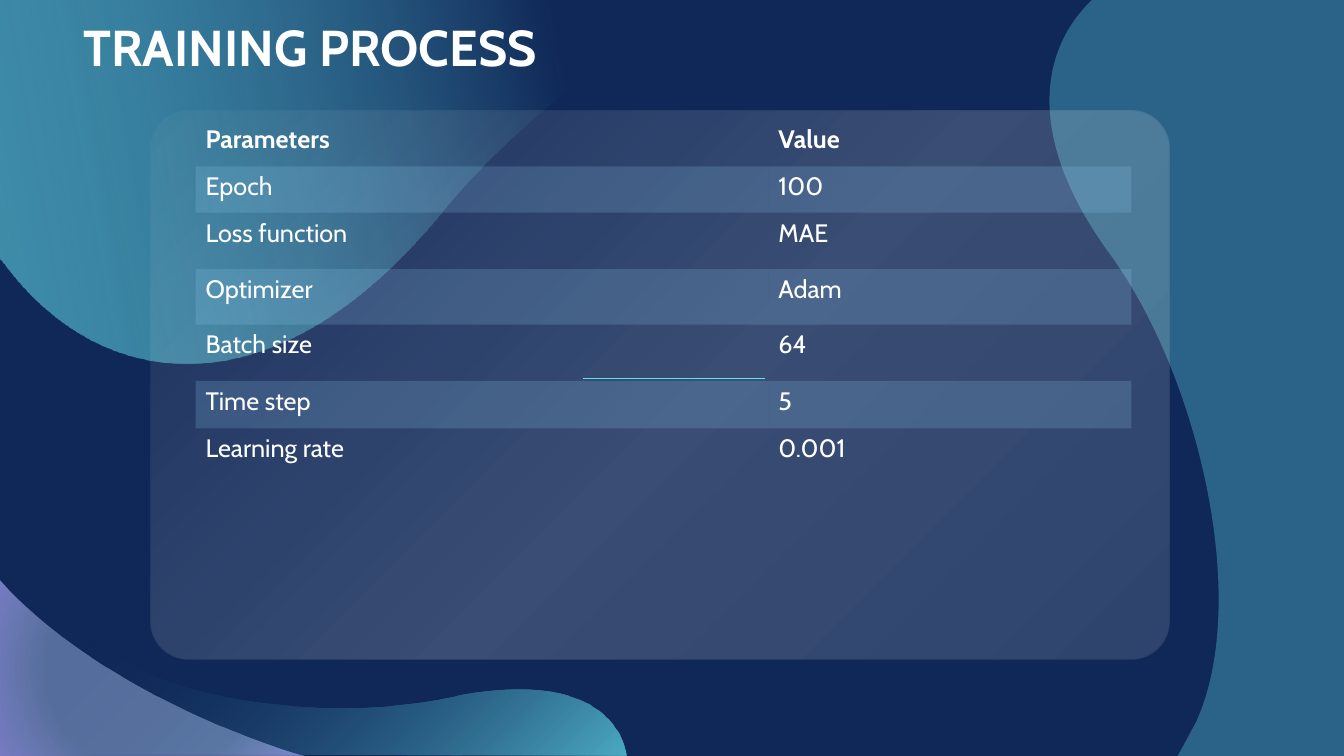
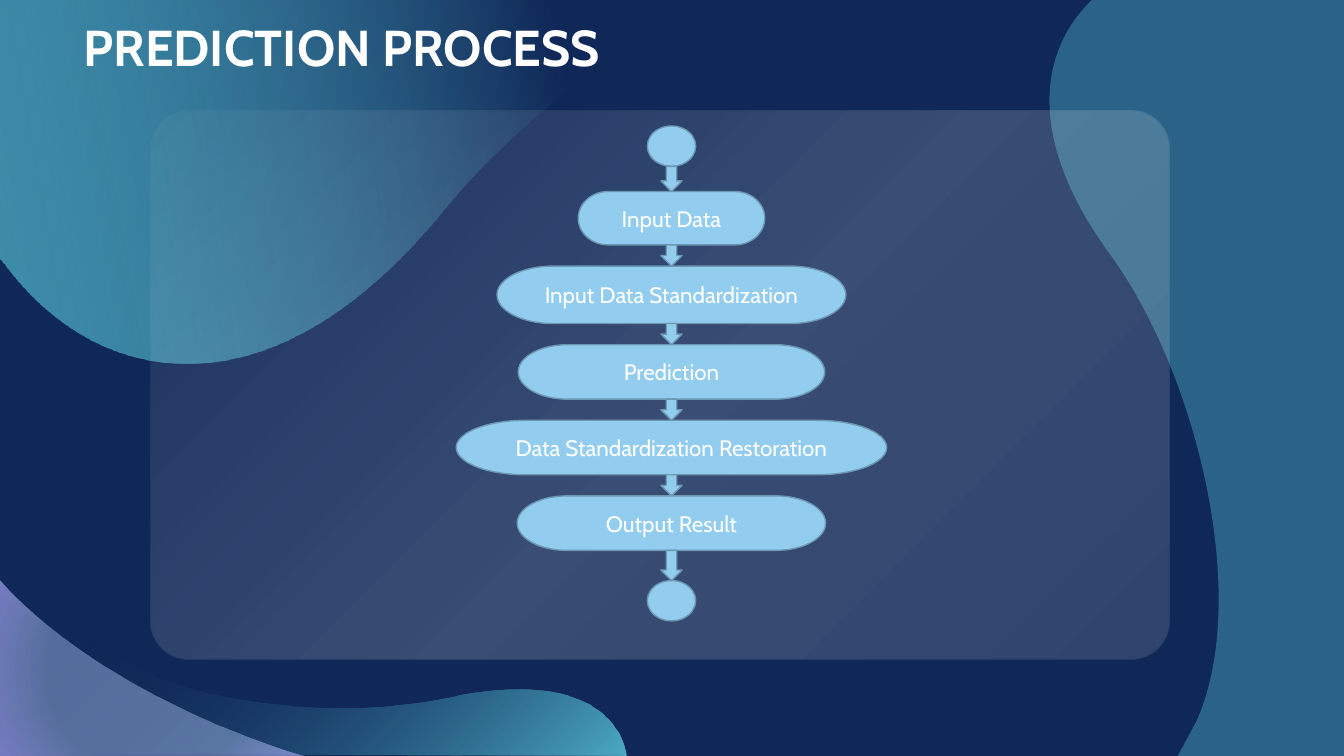
from dataclasses import dataclass
from typing import Optional

from lxml.etree import SubElement
from pptx import Presentation
from pptx.dml.color import RGBColor
from pptx.enum.shapes import MSO_CONNECTOR, MSO_SHAPE
from pptx.enum.text import MSO_ANCHOR, PP_ALIGN
from pptx.oxml.ns import qn
from pptx.util import Pt

EMU_PER_PX = 9144  # 100 px to the inch


@dataclass(frozen=True)
class Theme:
    font: str = "Cabin"
    navy: str = "102857"
    cyan: str = "64DFED"
    white: str = "FFFFFF"
    sky: str = "92CDF0"
    sky_edge: str = "6C98B2"
    mist: str = "ABC3F0"
    lilac: str = "AAA5F9"
    title_size: int = 36
    table_size: int = 18
    node_size: int = 16
    band_opacity: int = 20


@dataclass(frozen=True)
class Stop:
    position: int
    colour: str
    opacity: int = 100


@dataclass(frozen=True)
class Gradient:
    """Linear when an angle is given, otherwise circular around focus (l, t, r, b)."""
    stops: tuple
    angle: Optional[int] = None
    focus: tuple = (100, 100, 0, 0)


@dataclass(frozen=True)
class Blob:
    """Frame (l, t, w, h), and outline of points (2 numbers) and Beziers (6)."""
    frame: tuple
    outline: tuple
    gradient: Optional[Gradient] = None
    tint: Optional[Stop] = None


@dataclass(frozen=True)
class Node:
    width: int
    height: int
    gap_above: int
    label: str = ""


THEME = Theme()
SLIDE_SIZE = (1333, 750)

BLOBS_BEHIND = (
    # Bottom wave
    Blob((0, 531, 621, 219),
         ((35, 531), (41, 548), (55, 584, 75, 613, 98, 636),
          (159, 697, 332, 716, 443, 692), (557, 667, 611, 700, 621, 748),
          (621, 750), (0, 748), (0, 744)),
         Gradient((Stop(0, THEME.cyan, 71), Stop(77, THEME.navy, 0)))),
    # Top left drop
    Blob((0, 0, 699, 361),
         ((0, 0), (699, 0), (660, 22), (573, 76, 496, 141, 442, 206),
          (269, 420, 96, 385, 5, 263), (0, 257)),
         Gradient((Stop(20, THEME.navy), Stop(100, THEME.cyan, 54)), angle=170)),
    # Right side
    Blob((1041, 0, 292, 750),
         ((1333, 0), (1333, 750), (1168, 750), (1173, 741),
          (1178, 732, 1182, 724, 1186, 717), (1242, 595, 1187, 369, 1100, 251),
          (1018, 138, 1030, 51, 1083, 0)),
         tint=Stop(0, THEME.cyan, 32)),
)
CORNER_BLOB = Blob(
    (0, 575, 303, 175),
    ((0, 575), (10, 586), (77, 655, 183, 712, 289, 746), (303, 750), (0, 750), (0, 663)),
    Gradient((Stop(60, THEME.mist, 45), Stop(99, THEME.lilac, 67)),
             focus=(50, 50, 50, 50)))
PANEL_GRADIENT = Gradient(
    (Stop(6, THEME.white, 13), Stop(47, THEME.white, 17), Stop(100, THEME.white, 3)))
RULE_GRADIENT = Gradient((Stop(0, THEME.cyan), Stop(100, THEME.lilac)), angle=0)

PARAMETERS = (
    ("Parameters", "Value"), ("Epoch", "100"), ("Loss function", "MAE"),
    ("Optimizer", "Adam"), ("Batch size", "64"), ("Time step", "5"),
    ("Learning rate", "0.001"), ("", ""), ("", ""), ("", ""),
)
COLUMN_WIDTHS = (568, 360)
ROW_HEIGHTS = (47, 46, 56, 55, 56, 47, 47, 56, 55, 46)

FLOW_CENTRE, FLOW_TOP, ARROW_WIDTH = 666, 125, 21
FLOW = (
    Node(48, 40, 0),
    Node(185, 53, 25, "Input Data"),
    Node(346, 57, 21, "Input Data Standardization"),
    Node(304, 54, 21, "Prediction"),
    Node(427, 54, 21, "Data Standardization Restoration"),
    Node(306, 54, 21, "Output Result"),
    Node(48, 40, 30),
)


def px(value: float) -> int:
    return round(value * EMU_PER_PX)


def box(*values: float) -> list:
    return [px(value) for value in values]


def rgb(colour: str) -> RGBColor:
    return RGBColor.from_string(colour)


def set_opacity(colour_element, percent: int) -> None:
    SubElement(colour_element, qn("a:alpha"), val=str(percent * 1000))


def style_text(paragraph, size: int, bold: bool = False) -> None:
    for run in paragraph.runs:
        run.font.name = THEME.font
        run.font.size = Pt(size)
        run.font.bold = bold
        run.font.color.rgb = rgb(THEME.white)


def set_gradient(parent, gradient: Gradient) -> None:
    """Replace the empty fill of a shape or line by a gradient."""
    fill = SubElement(parent, qn("a:gradFill"), rotWithShape="1")
    parent.replace(parent.find(qn("a:noFill")), fill)
    stop_list = SubElement(fill, qn("a:gsLst"))
    for stop in gradient.stops:
        entry = SubElement(stop_list, qn("a:gs"), pos=str(stop.position * 1000))
        colour = SubElement(entry, qn("a:srgbClr"), val=stop.colour)
        if stop.opacity < 100:
            set_opacity(colour, stop.opacity)
    if gradient.angle is not None:
        SubElement(fill, qn("a:lin"), ang=str(gradient.angle * 60000), scaled="0")
    else:
        circle = SubElement(fill, qn("a:path"))
        circle.set("path", "circle")
        sides = dict(zip("ltrb", (str(side * 1000) for side in gradient.focus)))
        SubElement(circle, qn("a:fillToRect"), **sides)


def fill_backdrop_shape(shape, gradient: Optional[Gradient], tint: Optional[Stop] = None) -> None:
    shape.shadow.inherit = False
    shape.line.fill.background()
    if gradient:
        shape.fill.background()
        set_gradient(shape.element.spPr, gradient)
    elif tint:
        shape.fill.solid()
        shape.fill.fore_color.rgb = rgb(tint.colour)
        set_opacity(shape.element.xpath("./p:spPr/a:solidFill/a:srgbClr")[0], tint.opacity)


def draw_blob(slide, blob: Blob) -> None:
    """Build a freeform of the frame, then give it the curved outline."""
    left, top, width, height = box(*blob.frame)
    builder = slide.shapes.build_freeform(left, top, scale=1.0)
    builder.add_line_segments(
        [(left + width, top), (left + width, top + height), (left, top + height)])
    shape = builder.convert_to_shape()
    outline = shape.element.xpath(".//a:pathLst/a:path")[0]
    for command in list(outline):
        outline.remove(command)
    for index, segment in enumerate(blob.outline):
        kind = "a:cubicBezTo" if len(segment) == 6 else "a:lnTo" if index else "a:moveTo"
        command = SubElement(outline, qn(kind))
        for x, y in zip(segment[::2], segment[1::2]):
            SubElement(command, qn("a:pt"), x=str(px(x) - left), y=str(px(y) - top))
    SubElement(outline, qn("a:close"))
    fill_backdrop_shape(shape, blob.gradient, blob.tint)


def draw_backdrop(slide) -> None:
    for blob in BLOBS_BEHIND:
        draw_blob(slide, blob)
    panel = slide.shapes.add_shape(
        MSO_SHAPE.ROUNDED_RECTANGLE, *box(149, 110, 1011, 544))
    panel.adjustments[0] = 0.07
    fill_backdrop_shape(panel, PANEL_GRADIENT)
    draw_blob(slide, CORNER_BLOB)
    rule = slide.shapes.add_connector(MSO_CONNECTOR.STRAIGHT, *box(759, 375, 578, 375))
    rule.line.width = Pt(0.5)
    rule.line.fill.background()
    set_gradient(rule.element.spPr.find(qn("a:ln")), RULE_GRADIENT)
    SubElement(rule.element.spPr, qn("a:effectLst"))


def prepare_layout(layout, slide) -> None:
    """Move the backdrop, drawn on a slide, to the layout all slides share."""
    for placeholder in list(layout.placeholders):
        layout.shapes.element.remove(placeholder.element)
    layout.background.fill.solid()
    layout.background.fill.fore_color.rgb = rgb(THEME.navy)
    draw_backdrop(slide)
    for shape in list(slide.shapes):
        layout.shapes.element.append(shape.element)


def add_title(slide, title: str) -> None:
    text_frame = slide.shapes.add_textbox(*box(73, 11, 546, 131)).text_frame
    text_frame.word_wrap = True
    text_frame.text = title
    style_text(text_frame.paragraphs[0], THEME.title_size, bold=True)


def add_parameter_table(slide) -> None:
    frame = slide.shapes.add_table(
        len(PARAMETERS), len(COLUMN_WIDTHS),
        *box(194, 118, sum(COLUMN_WIDTHS), sum(ROW_HEIGHTS)))
    table = frame.table
    table.first_row = table.horz_banding = False
    # Built-in style without fills or grid
    frame.element.xpath(".//a:tableStyleId")[0].text = "{2D5ABB26-0587-4C30-8999-92F81FD0307C}"
    for column, width in zip(table.columns, COLUMN_WIDTHS):
        column.width = px(width)
    for index, (row, height, texts) in enumerate(zip(table.rows, ROW_HEIGHTS, PARAMETERS)):
        row.height = px(height)
        for cell, text in zip(row.cells, texts):
            cell.fill.background()
            if not text:
                continue
            cell.text_frame.text = text
            style_text(cell.text_frame.paragraphs[0], THEME.table_size, bold=index == 0)
            if index % 2:
                cell.fill.solid()
                cell.fill.fore_color.rgb = rgb(THEME.sky)
    for colour in frame.element.xpath(".//a:tcPr/a:solidFill/a:srgbClr"):
        set_opacity(colour, THEME.band_opacity)


def add_flow_shape(slide, kind: MSO_SHAPE, top: int, width: int, height: int,
                   label: str = "") -> None:
    shape = slide.shapes.add_shape(
        kind, *box(FLOW_CENTRE - width / 2, top, width, height))
    shape.shadow.inherit = False
    shape.fill.solid()
    shape.fill.fore_color.rgb = rgb(THEME.sky)
    shape.line.color.rgb = rgb(THEME.sky_edge)
    shape.line.width = Pt(1)
    if label:
        text_frame = shape.text_frame
        text_frame.text = label
        text_frame.vertical_anchor = MSO_ANCHOR.MIDDLE
        paragraph = text_frame.paragraphs[0]
        paragraph.alignment = PP_ALIGN.CENTER
        style_text(paragraph, THEME.node_size)


def add_flow(slide) -> None:
    """Stack the nodes; an arrow fills each gap."""
    top = FLOW_TOP
    for node in FLOW:
        if node.gap_above:
            add_flow_shape(slide, MSO_SHAPE.DOWN_ARROW, top, ARROW_WIDTH, node.gap_above)
        top += node.gap_above
        kind = MSO_SHAPE.FLOWCHART_TERMINATOR if node.label else MSO_SHAPE.OVAL
        add_flow_shape(slide, kind, top, node.width, node.height, node.label)
        top += node.height


def main() -> None:
    presentation = Presentation()
    presentation.slide_width, presentation.slide_height = box(*SLIDE_SIZE)
    layout = presentation.slide_layouts[6]

    # Training parameters
    training = presentation.slides.add_slide(layout)
    prepare_layout(layout, training)
    add_title(training, "TRAINING PROCESS")
    add_parameter_table(training)

    # Prediction flow
    prediction = presentation.slides.add_slide(layout)
    add_title(prediction, "PREDICTION PROCESS")
    add_flow(prediction)

    presentation.save("out.pptx")


if __name__ == "__main__":
    main()
